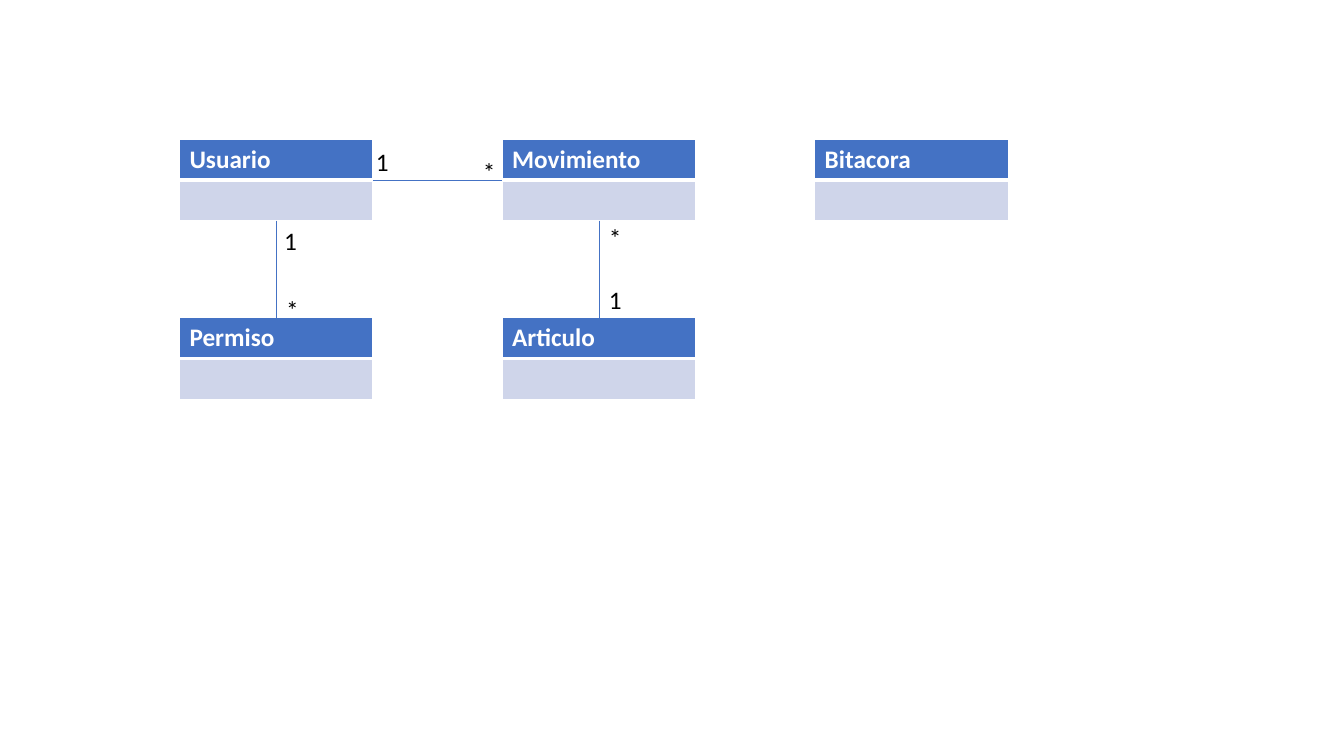
from lxml.etree import SubElement
from pptx import Presentation
from pptx.dml.color import RGBColor
from pptx.enum.shapes import MSO_CONNECTOR
from pptx.enum.text import MSO_AUTO_SIZE
from pptx.oxml import parse_xml
from pptx.oxml.ns import nsdecls, qn
from pptx.util import Emu, Pt

SCALE = 9144
BOX_W, BOX_H = 192, 81
LEFT, MID, RIGHT = 178, 498, 808
UPPER, LOWER = 138, 315
BLUE, PALE, WHITE, BLACK = "4472C4", "CFD5EA", "FFFFFF", "000000"

CLASSES = [
    ("Articulo", MID, LOWER),
    ("Movimiento", MID, UPPER),
    ("Usuario", LEFT, UPPER),
    ("Permiso", LEFT, LOWER),
    ("Bitacora", RIGHT, UPPER),
]
LINKS = [
    ("Usuario", 2, "Permiso", 0),
    ("Usuario", 3, "Movimiento", 1),
    ("Movimiento", 2, "Articulo", 0),
]
LABELS = [
    ("*", 274, 287),
    ("1", 272, 219),
    ("*", 469, 150),
    ("1", 363, 140),
    ("*", 594, 216),
    ("1", 594, 277),
]


def px(size):
    return Emu(size * SCALE)


def color(code):
    return RGBColor.from_string(code)


def style(frame, code, bold=False):
    for part in frame.paragraphs:
        for run in part.runs:
            run.font.name = "Calibri"
            run.font.size = Pt(18)
            run.font.bold = bold
            run.font.color.rgb = color(code)


def border(cell, widths):
    props = cell._tc.get_or_add_tcPr()
    for spot, (side, width) in enumerate(widths.items()):
        line = parse_xml(
            f'<a:ln{side} {nsdecls("a")} w="{Pt(width)}"><a:solidFill>'
            f'<a:srgbClr val="{WHITE}"/></a:solidFill></a:ln{side}>'
        )
        props.insert(spot, line)


def draw_class(slide, name, left, top):
    frame = slide.shapes.add_table(2, 1, px(left), px(top), px(BOX_W), px(BOX_H))
    head, body = frame.table.cell(0, 0), frame.table.cell(1, 0)
    head.text_frame.text = name
    style(head.text_frame, WHITE, True)
    for cell, fill in ((head, BLUE), (body, PALE)):
        cell.fill.solid()
        cell.fill.fore_color.rgb = color(fill)
    border(head, {"L": 1, "R": 1, "T": 1, "B": 3})
    border(body, {"L": 1, "R": 1, "T": 3, "B": 1})
    return frame


def draw_link(slide, start, exit_side, end, entry_side):
    link = slide.shapes.add_connector(MSO_CONNECTOR.STRAIGHT, 0, 0, 0, 0)
    link.begin_connect(start, exit_side)
    link.end_connect(end, entry_side)
    link.line.color.rgb = color(BLUE)
    link.line.width = Pt(0.5)
    SubElement(link._element.spPr, qn("a:effectLst"))


def draw_label(slide, text, left, top):
    box = slide.shapes.add_textbox(px(left), px(top), px(33), px(40))
    frame = box.text_frame
    frame.word_wrap = False
    frame.auto_size = MSO_AUTO_SIZE.SHAPE_TO_FIT_TEXT
    frame.text = text
    style(frame, BLACK)


def main():
    deck = Presentation()
    deck.slide_width, deck.slide_height = px(1333), px(750)
    slide = deck.slides.add_slide(deck.slide_layouts[6])
    frames = {name: draw_class(slide, name, left, top) for name, left, top in CLASSES}
    for start, exit_side, end, entry_side in LINKS:
        draw_link(slide, frames[start], exit_side, frames[end], entry_side)
    for text, left, top in LABELS:
        draw_label(slide, text, left, top)
    deck.save("out.pptx")


if __name__ == "__main__":
    main()
